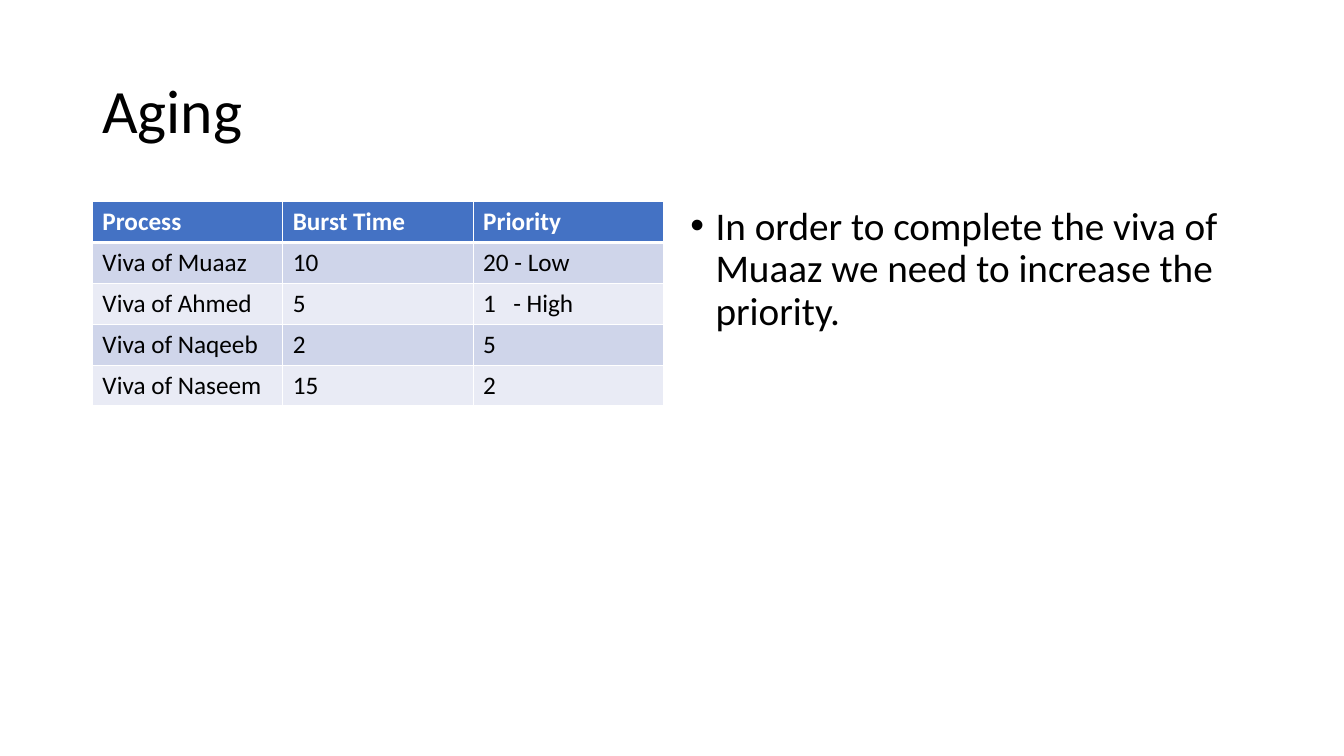
from lxml.etree import SubElement
from pptx import Presentation
from pptx.dml.color import RGBColor
from pptx.enum.text import MSO_ANCHOR as Anchor
from pptx.oxml.ns import qn
from pptx.util import Pt

FONT = "Calibri"
BLACK, WHITE, BLUE = "000000", "FFFFFF", "4472C4"
BANDS = ("CFD5EA", "E9EBF5")
LEFT, RIGHT, TOP = 66, 486, 144
COLUMN_WIDTH, ROW_HEIGHT = 136, 29.2
PROCESSES = [
    ("Process", "Burst Time", "Priority"),
    ("Viva of Muaaz", "10", "20 - Low"),
    ("Viva of Ahmed", "5", "1\t- High"),
    ("Viva of Naqeeb", "2", "5"),
    ("Viva of Naseem", "15", "2"),
]


def color(value):
    return RGBColor.from_string(value)


def apply(target, formats):
    for name, value in formats.items():
        setattr(target, name, value)


def write(paragraph, text, size, ink=BLACK, bold=False, **formats):
    run = paragraph.add_run()
    run.text = text
    apply(run.font, {"name": FONT, "size": Pt(size), "bold": bold})
    run.font.color.rgb = color(ink)
    apply(paragraph, formats)


def add_text(slide, box, text, size, anchor, **formats):
    shape = slide.shapes.add_textbox(*map(Pt, box))
    apply(shape.text_frame, {"word_wrap": True, "vertical_anchor": anchor})
    paragraph = shape.text_frame.paragraphs[0]
    write(paragraph, text, size, line_spacing=0.9, **formats)
    return paragraph


def add_bullet(paragraph, indent):
    properties = paragraph._p.get_or_add_pPr()
    apply_indent = {"marL": Pt(indent), "indent": -Pt(indent)}
    for name, value in apply_indent.items():
        properties.set(name, str(value))
    SubElement(properties, qn("a:buFont"), typeface="Arial")
    SubElement(properties, qn("a:buChar"), char="•")


def add_tab_stop(paragraph, position):
    properties = paragraph._p.get_or_add_pPr()
    stops = SubElement(properties, qn("a:tabLst"))
    SubElement(stops, qn("a:tab"), pos=str(Pt(position)), algn="l")


def add_borders(cell, widths):
    properties = cell._tc.get_or_add_tcPr()
    for side, width in zip("LRTB", widths):
        line = SubElement(properties, qn(f"a:ln{side}"), w=str(Pt(width)))
        fill = SubElement(line, qn("a:solidFill"))
        SubElement(fill, qn("a:srgbClr"), val=WHITE)


def fill_cell(cell, text, row):
    header = row == 0
    add_borders(cell, (1, 1, 3 if row == 1 else 1, 3 if header else 1))
    cell.fill.solid()
    cell.fill.fore_color.rgb = color(BLUE if header else BANDS[(row - 1) % 2])
    paragraph = cell.text_frame.paragraphs[0]
    write(paragraph, text, 18, WHITE if header else BLACK, header)
    if "\t" in text:
        add_tab_stop(paragraph, 21.5)


def add_process_table(slide):
    rows, columns = len(PROCESSES), len(PROCESSES[0])
    box = (LEFT, TOP, columns * COLUMN_WIDTH, rows * ROW_HEIGHT)
    table = slide.shapes.add_table(rows, columns, *map(Pt, box)).table
    for column in table.columns:
        column.width = Pt(COLUMN_WIDTH)
    for row, texts in enumerate(PROCESSES):
        table.rows[row].height = Pt(ROW_HEIGHT)
        for column, text in enumerate(texts):
            fill_cell(table.cell(row, column), text, row)


def main():
    presentation = Presentation()
    apply(presentation, {"slide_width": Pt(960), "slide_height": Pt(540)})
    slide = presentation.slides.add_slide(presentation.slide_layouts[6])
    add_text(slide, (LEFT, 28.8, 828, 104.4), "Aging", 44, Anchor.MIDDLE)
    add_process_table(slide)
    advice = add_text(
        slide,
        (RIGHT, TOP, 408, 342.7),
        "In order to complete the viva of Muaaz we need to increase the priority.",
        28,
        Anchor.TOP,
        space_before=Pt(10),
    )
    add_bullet(advice, 18)
    presentation.save("out.pptx")


if __name__ == "__main__":
    main()
